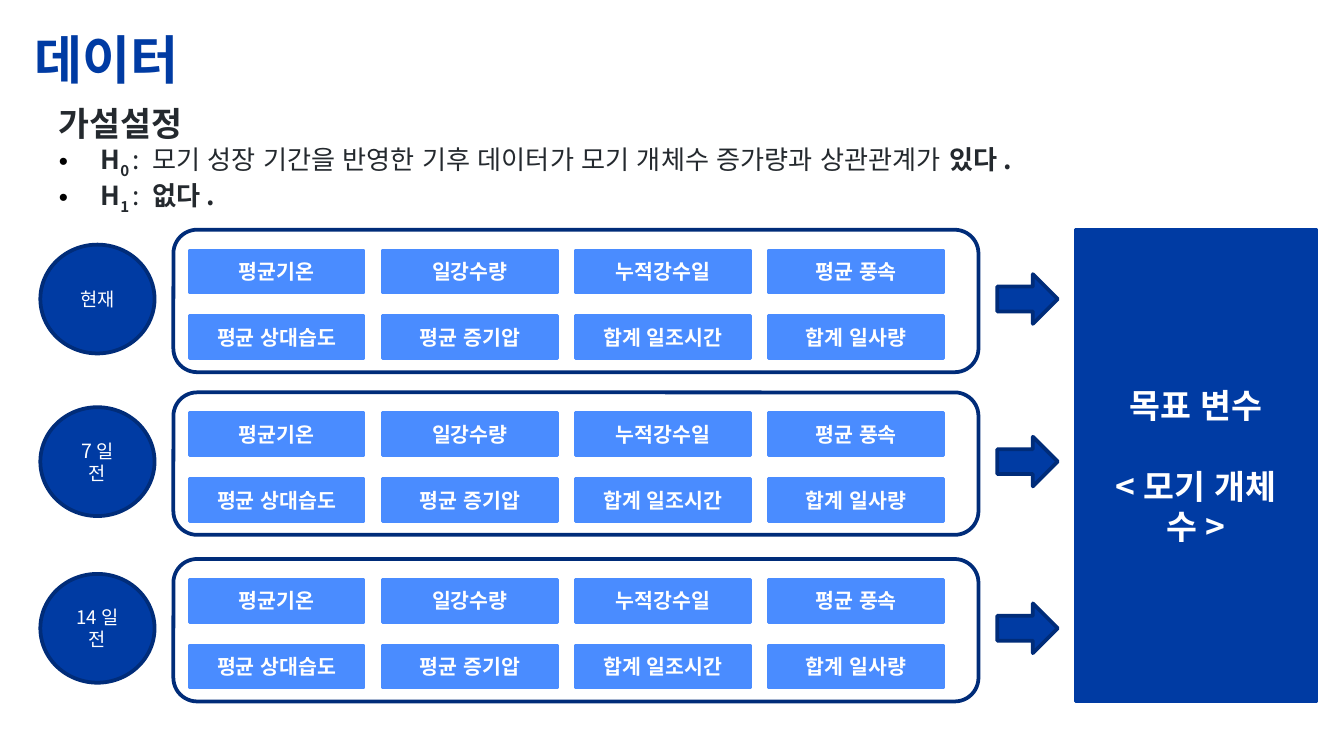
from dataclasses import dataclass
from lxml.etree import SubElement as Sub
from pptx import Presentation
from pptx.dml.color import RGBColor as Rgb
from pptx.enum.lang import MSO_LANGUAGE_ID as Lang
from pptx.enum.shapes import MSO_SHAPE as Kind
from pptx.enum.text import MSO_ANCHOR as Anchor, MSO_AUTO_SIZE as Fit, PP_ALIGN as Align
from pptx.oxml.ns import qn
from pptx.util import Inches, Pt


@dataclass(frozen=True)
class Theme:
    face: str = "Noto Sans CJK KR"
    blue: str = "003BA3"
    navy: str = "002C79"
    light: str = "4A8CFF"
    ink: str = "24292E"
    white: str = "FFFFFF"
    black: str = "000000"
    title: float = 28
    head: float = 18
    body: float = 14
    label: float = 11
    small: float = 10
    digit: float = 10.5
    thin: float = 1.5
    thick: float = 2


LOOK = Theme()
UNIT = 0.1
HARD = chr(160)
BANDS = (
    (17.1, [("현재", LOOK.small)]),
    (29.2, [("7", LOOK.digit), ("일 전", LOOK.small)]),
    (41.6, [("14일 전", LOOK.small)]),
)
LABELS = (
    ("평균기온", "일강수량", "누적강수일", "평균 풍속"),
    ("평균 상대습도", "평균 증기압", "합계 일조시간", "합계 일사량"),
)


def grid(*cells):
    return [Inches(cell * UNIT) for cell in cells]


def style(para, size, color, bold=False):
    font = para.font
    font.name, font.size, font.bold = LOOK.face, Pt(size), bold
    font.color.rgb = Rgb.from_string(color)
    base = para._p.pPr.find(qn("a:defRPr"))
    for tag in ("a:ea", "a:cs"):
        Sub(base, qn(tag), typeface=LOOK.face)


def write(para, text):
    run = para.add_run()
    run.text = text
    run.font.language_id = Lang.KOREAN
    return run


def bullet(para):
    props = para._p.get_or_add_pPr()
    props.set("marL", str(Inches(0.31)))
    props.set("indent", str(-Inches(0.31)))
    tint = Sub(props, qn("a:buClr"))
    Sub(tint, qn("a:srgbClr"), val=LOOK.black)
    Sub(props, qn("a:buFont"), typeface="Arial")
    Sub(props, qn("a:buChar"), char="•")


def inset(frame):
    frame.margin_left = frame.margin_right = Inches(0.1)
    frame.margin_top = frame.margin_bottom = Inches(0.1)


def shape(slide, kind, cells, fill, line, width):
    item = slide.shapes.add_shape(kind, *grid(*cells))
    item.shadow.inherit = False
    if fill:
        item.fill.solid()
        item.fill.fore_color.rgb = Rgb.from_string(fill)
    else:
        item.fill.background()
    item.line.color.rgb = Rgb.from_string(line)
    item.line.width = Pt(width)
    return item


def box(slide, cells, color, lines, size):
    frame = shape(slide, Kind.RECTANGLE, cells, color, color, LOOK.thin).text_frame
    inset(frame)
    frame.word_wrap = True
    frame.vertical_anchor = Anchor.MIDDLE
    for i, line in enumerate(lines):
        para = frame.add_paragraph() if i else frame.paragraphs[0]
        para.alignment = Align.CENTER
        if i:
            para.space_before = Pt(size * 1.2)
        style(para, size, LOOK.white, True)
        write(para, line)


def disc(slide, cells, parts):
    item = shape(slide, Kind.OVAL, cells, LOOK.blue, LOOK.navy, LOOK.thick)
    frame = item.text_frame
    frame.word_wrap = True
    frame.vertical_anchor = Anchor.MIDDLE
    para = frame.paragraphs[0]
    para.alignment = Align.CENTER
    style(para, LOOK.small, LOOK.white)
    for text, size in parts:
        write(para, text).font.size = Pt(size)


def title(slide):
    frame = slide.shapes.add_textbox(*grid(1.6, 1, 84.4, 6.3)).text_frame
    frame.word_wrap = True
    inset(frame)
    para = frame.paragraphs[0]
    style(para, LOOK.title, LOOK.blue, True)
    write(para, "데이터")


def claim(frame, index, text, end):
    para = frame.add_paragraph()
    bullet(para)
    style(para, LOOK.body, LOOK.ink, True)
    parts = (("H", True, 0), (index + HARD, True, -25000), (text + HARD, False, 0), (end, True, 0))
    for part, bold, base in parts:
        run = write(para, part)
        run.font.bold = bold
        if base:
            run._r.get_or_add_rPr().set("baseline", str(base))


def thesis(slide):
    frame = slide.shapes.add_textbox(*grid(3.4, 7.2, 87.5, 8.8)).text_frame
    frame.word_wrap = True
    frame.auto_size = Fit.SHAPE_TO_FIT_TEXT
    head = frame.paragraphs[0]
    style(head, LOOK.head, LOOK.ink, True)
    write(head, "가설설정")
    claim(frame, "0", ": 모기 성장 기간을 반영한 기후 데이터가 모기 개체수 증가량과 상관관계가", "있다.")
    claim(frame, "1", ":", "없다.")


def band(slide, top, parts):
    for i, row in enumerate(LABELS):
        for j, label in enumerate(row):
            cells = (14.1 + j * 14.37, top + 1.5 + i * 4.9, 13, 3.2)
            box(slide, cells, LOOK.light, [label], LOOK.label)
    shape(slide, Kind.ROUNDED_RECTANGLE, (12.9, top, 59.9, 10.6), None, LOOK.navy, LOOK.thick)
    shape(slide, Kind.RIGHT_ARROW, (74.2, top + 3.3, 4.5, 3.7), LOOK.blue, LOOK.navy, LOOK.thick)
    disc(slide, (3, top + 1.1, 8.5, 8.1), parts)


def main():
    """Build the slide of hypotheses and climate variables."""
    deck = Presentation()
    deck.slide_width, deck.slide_height = grid(100, 56.25)
    slide = deck.slides.add_slide(deck.slide_layouts[6])
    title(slide)
    thesis(slide)
    for top, parts in BANDS:
        band(slide, top, parts)
    box(slide, (80, 17.1, 18, 35.1), LOOK.blue, ["목표 변수", "<모기 개체수>"], LOOK.head)
    deck.save("out.pptx")


main()
